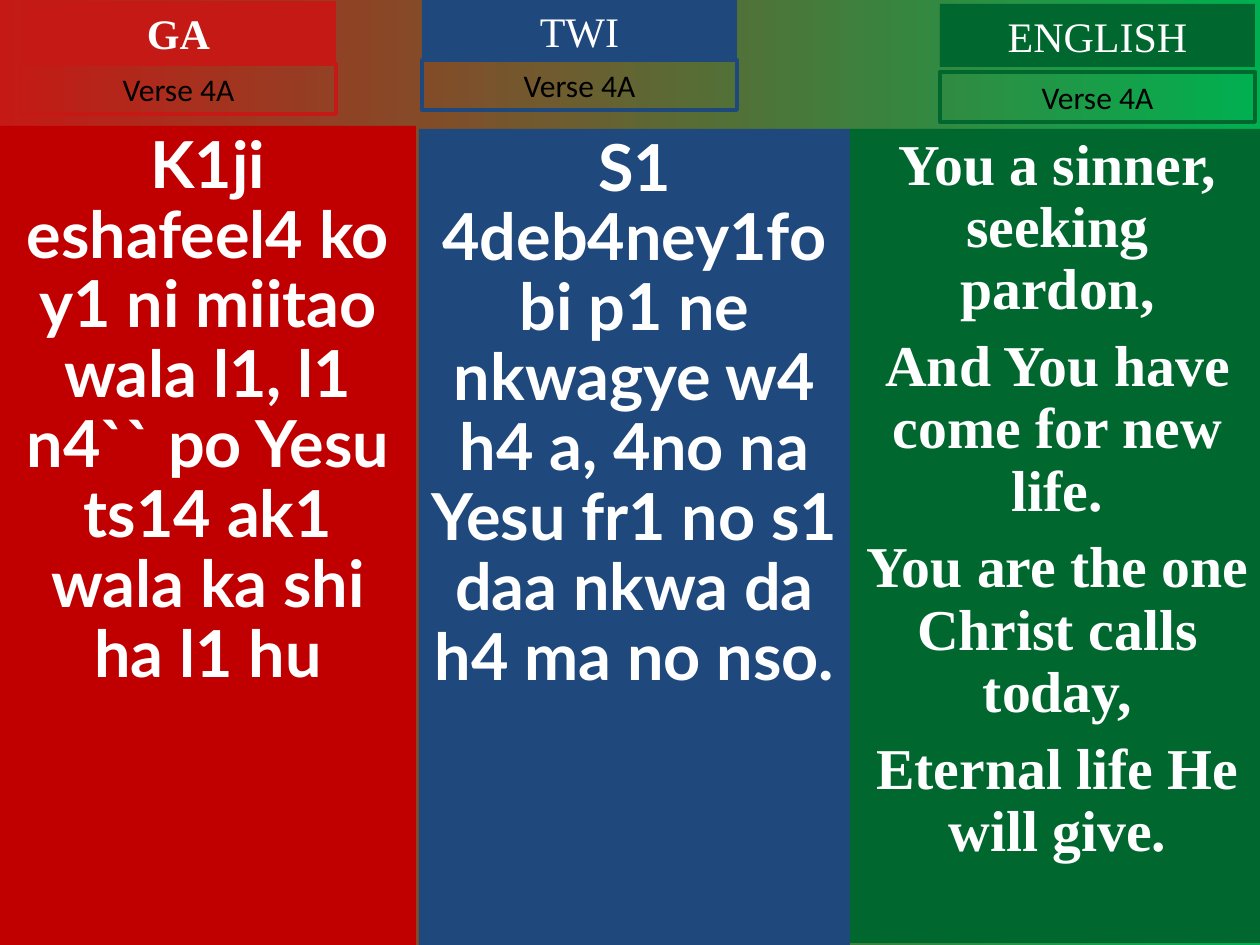
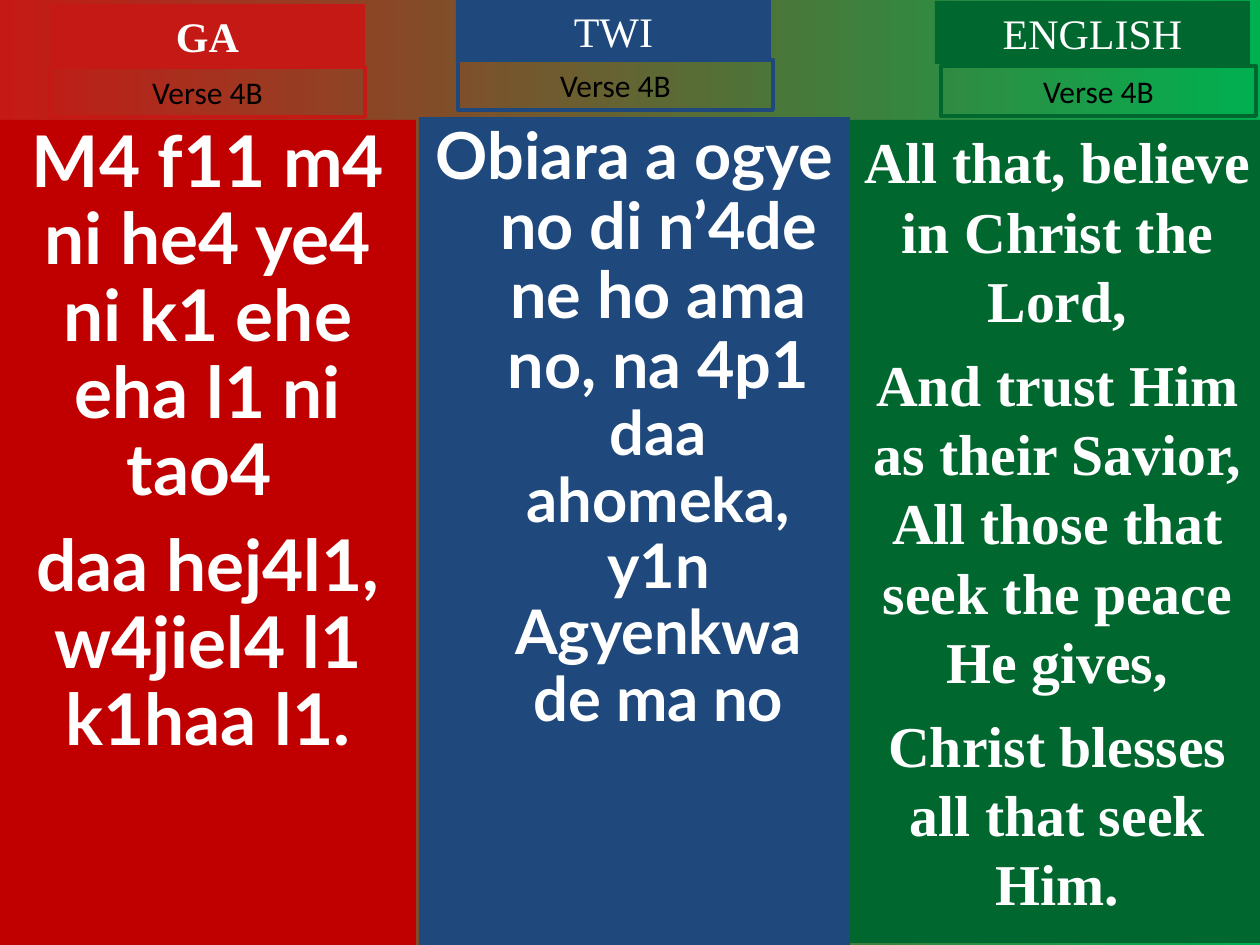
from pptx import Presentation
from pptx.dml.color import RGBColor
from pptx.enum.shapes import MSO_SHAPE
from pptx.enum.text import MSO_ANCHOR, MSO_AUTO_SIZE, PP_ALIGN
from pptx.util import Emu, Pt

# Shared look
COLORS = {
    "red": "C51915",
    "deep_red": "C00000",
    "blue": "1F497D",
    "green": "00682F",
    "bright_green": "00B050",
    "white": "FFFFFF",
    "black": "000000",
}
PIXELS_PER_INCH = 126
SLIDE_WIDTH, SLIDE_HEIGHT = 1260, 945
HEADER_WIDTH, TITLE_HEIGHT, LABEL_HEIGHT = 315, 63, 50
SERIF, SANS, LYRIC = "Times New Roman", "Calibri", "Lato"

# What each language column keeps on every slide
LANGUAGES = {
    "GA": dict(accent="red", panel="deep_red", left=0, width=416,
               bottom=945, font=LYRIC, bold_title=True),
    "TWI": dict(accent="blue", panel="blue", left=419, width=431,
                bottom=945, font=LYRIC, bold_title=False),
    "ENGLISH": dict(accent="green", panel="green", left=850, width=415,
                    bottom=943, font=SERIF, bold_title=False),
}

# Each lyric paragraph is a list of (text, size) runs
VERSES = {
    "Verse 4A": {
        "GA": dict(title=(21, 1), label=(21, 64), top=126, space=10, lyrics=[
            [("K1ji eshafeel4 ko y1 ni miitao wala l1, l1 n4`` po Yesu "
              "ts14 ak1 wala ka shi ha l1 hu", 37)]]),
        "TWI": dict(title=(422, -1), label=(422, 60), top=129, space=10, lyrics=[
            [("S1 4deb4ney1fo bi p1 ne nkwagye w4 h4 a, 4no na Yesu fr1 "
              "no s1 daa nkwa da h4 ma no nso.", 37)]]),
        "ENGLISH": dict(title=(940, 4), label=(940, 72), top=129, space=8.2, lyrics=[
            [("You a sinner, seeking pardon,", 33)],
            [("And You have come for new life.", 33)],
            [("You are the one Christ calls today,", 33)],
            [("Eternal life He will give.", 33)]]),
    },
    "Verse 4B": {
        "GA": dict(title=(50, 4), label=(50, 67), top=120, space=11, lyrics=[
            [("M4 f11 m4 ni he4 ye4 ni k1 ehe eha l1 ni tao4 ", 40.7)],
            [("daa hej4l1, w4jiel4 l1 k1haa l1.", 40.7)]]),
        "TWI": dict(title=(456, -1), label=(458, 60), top=117, space=9.5,
                    hanging=48, lyrics=[
            [("Obiara a ogye no di n’4de ne ho ama no, na 4p1 ", 37),
             ("daa ahomeka, y1n Agyenkwa de ma no", 35.1)]]),
        "ENGLISH": dict(title=(935, 1), label=(941, 66), top=120, space=8.2,
                        line_spacing=1.0, lyrics=[
            [("All that, believe in Christ the Lord,", 33)],
            [("And trust Him as their Savior, All those that seek the "
              "peace He gives,", 33)],
            [("Christ blesses all that seek Him.", 33)]]),
    },
}


def px(length):
    return Emu(round(length * 914400 / PIXELS_PER_INCH))


def color(name):
    return RGBColor.from_string(COLORS[name])


def add_box(slide, left, top, width, height, fill=None, line=None, grow=False):
    """Add a rectangle and return its text frame."""
    shape = slide.shapes.add_shape(
        MSO_SHAPE.RECTANGLE, px(left), px(top), px(width), px(height))
    shape.shadow.inherit = False
    if fill:
        shape.fill.solid()
        shape.fill.fore_color.rgb = color(fill)
    else:
        shape.fill.background()
    if line:
        shape.line.color.rgb = color(line)
        shape.line.width = Pt(2.25)
    else:
        shape.line.fill.background()
    frame = shape.text_frame
    frame.word_wrap = True
    frame.vertical_anchor = MSO_ANCHOR.TOP
    frame.auto_size = MSO_AUTO_SIZE.SHAPE_TO_FIT_TEXT if grow else MSO_AUTO_SIZE.NONE
    return frame


def add_run(paragraph, text, *, size, font, text_color="white", bold=False):
    """Add formatted text to a centred paragraph."""
    paragraph.alignment = PP_ALIGN.CENTER
    run = paragraph.add_run()
    run.text = text
    run.font.name = font
    run.font.size = Pt(size)
    run.font.bold = bold
    run.font.color.rgb = color(text_color)


def add_lyrics(frame, lyrics, *, font, space, line_spacing=0.9, hanging=0):
    for index, runs in enumerate(lyrics):
        paragraph = frame.add_paragraph() if index else frame.paragraphs[0]
        paragraph.line_spacing = line_spacing
        paragraph.space_before = Pt(space if index else 0)
        if hanging:
            properties = paragraph._p.get_or_add_pPr()
            properties.set("marL", str(px(hanging)))
            properties.set("indent", str(-px(hanging)))
        for text, size in runs:
            add_run(paragraph, text, size=size, font=font, bold=True)


def add_language_column(slide, name, verse_name, title, label, top, lyrics, **format):
    language = LANGUAGES[name]
    accent = language["accent"]
    # Lyrics panel
    panel = add_box(slide, language["left"], top, language["width"],
                    language["bottom"] - top, fill=language["panel"])
    add_lyrics(panel, lyrics, font=language["font"], **format)
    # Language title and verse label
    heading = add_box(slide, *title, HEADER_WIDTH, TITLE_HEIGHT, fill=accent, grow=True)
    add_run(heading.paragraphs[0], name, size=24, font=SERIF,
            bold=language["bold_title"])
    tag = add_box(slide, *label, HEADER_WIDTH, LABEL_HEIGHT, line=accent, grow=True)
    add_run(tag.paragraphs[0], verse_name, size=18, font=SANS, text_color="black")


def set_background(slide):
    fill = slide.background.fill
    fill.gradient()
    fill.gradient_angle = 0
    for stop, position, name in zip(fill.gradient_stops, (0, 1), ("red", "bright_green")):
        stop.position = position
        stop.color.rgb = color(name)


def main():
    presentation = Presentation()
    presentation.slide_width = px(SLIDE_WIDTH)
    presentation.slide_height = px(SLIDE_HEIGHT)
    for verse_name, columns in VERSES.items():
        slide = presentation.slides.add_slide(presentation.slide_layouts[6])
        set_background(slide)
        for name, column in columns.items():
            add_language_column(slide, name, verse_name, **column)
    presentation.save("out.pptx")


if __name__ == "__main__":
    main()
